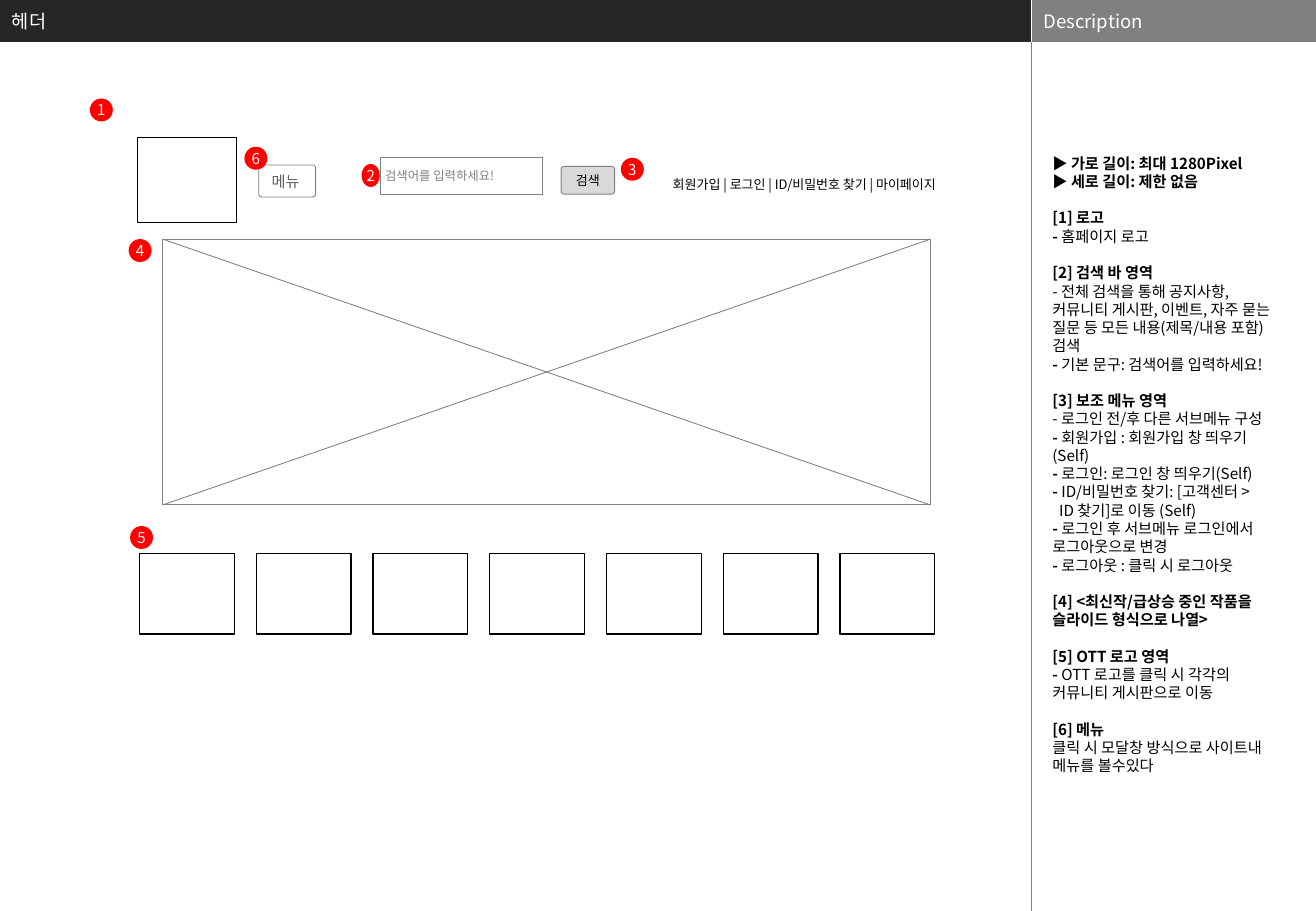
"""Builds the header wireframe slide with its numbered description panel."""
from typing import NamedTuple, Optional

from lxml import etree
from pptx import Presentation
from pptx.dml.color import RGBColor
from pptx.enum.shapes import MSO_CONNECTOR, MSO_SHAPE
from pptx.enum.text import MSO_ANCHOR, PP_ALIGN
from pptx.oxml.ns import qn
from pptx.util import Cm, Pt

RECT, ROUNDED, OVAL = MSO_SHAPE.RECTANGLE, MSO_SHAPE.ROUNDED_RECTANGLE, MSO_SHAPE.OVAL
STRAIGHT = MSO_CONNECTOR.STRAIGHT
LEFT, CENTER, RIGHT = PP_ALIGN.LEFT, PP_ALIGN.CENTER, PP_ALIGN.RIGHT
TOP, MIDDLE = MSO_ANCHOR.TOP, MSO_ANCHOR.MIDDLE

KOREAN = "Noto Sans CJK KR"
COLORS = {
    "white": "FFFFFF", "black": "000000", "title": "262626", "gray": "808080",
    "divider": "7F7F7F", "badge": "FF0000", "button": "D9D9D9", "menu": "5F5F5F",
}
SLIDE_WIDTH, SLIDE_HEIGHT = 27.51, 19.05
PANEL_LEFT, BAR_HEIGHT = 21.56, 0.88
BADGE_SIZE = 0.48
LINE_PITCH = 10.83


class Label(NamedTuple):
    text: str
    size: float
    color: str
    align: PP_ALIGN = LEFT
    inset: tuple[float, float] = (0.25, 0.13)
    font: str = KOREAN
    wrap: bool = True


class Box(NamedTuple):
    left: float
    top: float
    width: float
    height: float
    fill: Optional[str] = None
    line: Optional[str] = None
    weight: float = 0.5
    kind: MSO_SHAPE = RECT
    corner: float = 0.0
    label: Optional[Label] = None


class Badge(NamedTuple):
    number: int
    left: float
    top: float
    width: float = BADGE_SIZE


class Line(NamedTuple):
    x1: float
    y1: float
    x2: float
    y2: float
    color: str
    weight: float


class Note(NamedTuple):
    bold: str = ""
    plain: str = ""
    gap: bool = False
    indent: float = 0.0


BANNER = Box(3.4, 5.0, 16.05, 5.56, "white", "gray")
BANNER_RIGHT, BANNER_BOTTOM = BANNER.left + BANNER.width, BANNER.top + BANNER.height

BARS = [
    Box(0, 0, PANEL_LEFT, BAR_HEIGHT, "title", label=Label("헤더", 11, "white")),
    Box(PANEL_LEFT, 0, SLIDE_WIDTH - PANEL_LEFT, BAR_HEIGHT, "gray",
        label=Label("Description", 11, "white")),
]
CONTROLS = [
    Box(7.95, 3.3, 3.4, 0.76, line="gray",
        label=Label("검색어를 입력하세요!", 7.3, "gray", inset=(0.1, 0.1))),
    Box(11.73, 3.48, 1.12, 0.58, "button", "gray", kind=ROUNDED, corner=0.1,
        label=Label("검색", 7.7, "black", CENTER, (0.1, 0.1))),
    Box(5.41, 3.45, 1.19, 0.67, "white", "gray", kind=ROUNDED, corner=0.09,
        label=Label("메뉴", 9, "menu", font="Lato", wrap=False)),
    BANNER,
]
SITE_LOGO = Box(2.87, 2.87, 2.08, 1.78, "white", "black", 0.75)
OTT_LOGOS = [Box(2.92 + 2.44 * i, 11.58, 1.98, 1.68, "white", "black", 0.75)
             for i in range(7)]
LINES = [
    Line(PANEL_LEFT, 0, PANEL_LEFT, BAR_HEIGHT, "white", 0.25),
    Line(PANEL_LEFT, BAR_HEIGHT, PANEL_LEFT, SLIDE_HEIGHT, "divider", 0.25),
    Line(BANNER.left, BANNER_BOTTOM, BANNER_RIGHT, BANNER.top, "gray", 0.5),
    Line(BANNER_RIGHT, BANNER_BOTTOM, BANNER.left, BANNER.top, "gray", 0.5),
]
BADGES = [
    Badge(1, 1.88, 2.06), Badge(2, 7.56, 3.43, 0.38), Badge(3, 12.98, 3.3),
    Badge(4, 2.69, 5.0), Badge(5, 2.72, 11.0), Badge(6, 5.11, 3.07),
]
SUBMENU = Label("회원가입 | 로그인 | ID/비밀번호 찾기 | 마이페이지", 7.7, "black", RIGHT)
NOTES = [
    Note("▶ 가로 길이: 최대 1280Pixel"),
    Note("▶ 세로 길이: 제한 없음"),
    Note("[1] 로고", gap=True),
    Note("- ", "홈페이지 로고"),
    Note("[2] 검색 바 영역", gap=True),
    Note(plain="- 전체 검색을 통해 공지사항, 커뮤니티 게시판, 이벤트, 자주 묻는 질문 등 "
               "모든 내용(제목/내용 포함) 검색"),
    Note("- ", "기본 문구: 검색어를 입력하세요!"),
    Note("[3] 보조 메뉴 영역", gap=True),
    Note(plain="- 로그인 전/후 다른 서브메뉴 구성"),
    Note("- ", "회원가입 : 회원가입 창 띄우기(Self)"),
    Note("- ", "로그인: 로그인 창 띄우기(Self)"),
    Note("- ", "ID/비밀번호 찾기: [고객센터 >"),
    Note(plain="ID 찾기]로 이동 (Self)", indent=0.14),
    Note("- ", "로그인 후 서브메뉴 로그인에서 로그아웃으로 변경"),
    Note("- ", "로그아웃 : 클릭 시 로그아웃"),
    Note("[4] <최신작/급상승 중인 작품을 슬라이드 형식으로 나열>", gap=True),
    Note("[5] OTT 로고 영역", gap=True),
    Note("- ", "OTT 로고를 클릭 시 각각의 커뮤니티 게시판으로 이동"),
    Note("[6] 메뉴", gap=True),
    Note(plain="클릭 시 모달창 방식으로 사이트내 메뉴를 볼수있다"),
]


def paint(target, color: str) -> None:
    target.rgb = RGBColor.from_string(COLORS[color])


def style_run(run, size: float, color: str, font: str = KOREAN, bold: bool = False) -> None:
    run.font.name, run.font.size, run.font.bold = font, Pt(size), bold
    paint(run.font.color, color)
    etree.SubElement(run.font._element, qn("a:ea")).set("typeface", font)


def write_label(frame, label: Label, anchor: MSO_ANCHOR = MIDDLE) -> None:
    frame.text = label.text
    frame.word_wrap, frame.vertical_anchor = label.wrap, anchor
    frame.margin_left = frame.margin_right = Cm(label.inset[0])
    frame.margin_top = frame.margin_bottom = Cm(label.inset[1])
    frame.paragraphs[0].alignment = label.align
    style_run(frame.paragraphs[0].runs[0], label.size, label.color, label.font)


def draw_box(slide, box: Box) -> None:
    shape = slide.shapes.add_shape(
        box.kind, Cm(box.left), Cm(box.top), Cm(box.width), Cm(box.height))
    shape.shadow.inherit = False
    if box.kind == ROUNDED:
        shape.adjustments[0] = box.corner
    if box.fill:
        shape.fill.solid()
        paint(shape.fill.fore_color, box.fill)
    else:
        shape.fill.background()
    if box.line:
        paint(shape.line.color, box.line)
        shape.line.width = Pt(box.weight)
    else:
        shape.line.fill.background()
    if box.label:
        write_label(shape.text_frame, box.label)


def draw_badge(slide, badge: Badge) -> None:
    number = Label(str(badge.number), 8.9, "white", CENTER, (0, 0), wrap=False)
    draw_box(slide, Box(badge.left, badge.top, badge.width, BADGE_SIZE, "badge",
                        kind=OVAL, label=number))


def draw_line(slide, line: Line) -> None:
    connector = slide.shapes.add_connector(
        STRAIGHT, Cm(line.x1), Cm(line.y1), Cm(line.x2), Cm(line.y2))
    paint(connector.line.color, line.color)
    connector.line.width = Pt(line.weight)
    etree.SubElement(connector._element.spPr, qn("a:effectLst"))


def draw_submenu(slide) -> None:
    frame = slide.shapes.add_textbox(Cm(12.9), Cm(3.48), Cm(6.91), Cm(0.69)).text_frame
    write_label(frame, SUBMENU, TOP)
    frame.paragraphs[0].line_spacing = 1.25


def draw_notes(slide) -> None:
    frame = slide.shapes.add_textbox(Cm(21.92), Cm(3.22), Cm(4.83), Cm(14.36)).text_frame
    frame.word_wrap = True
    frame.margin_left = frame.margin_right = Cm(0.08)
    frame.margin_top = frame.margin_bottom = 0
    for i, note in enumerate(NOTES):
        paragraph = frame.add_paragraph() if i else frame.paragraphs[0]
        paragraph.line_spacing = Pt(LINE_PITCH)
        paragraph.space_before = Pt(LINE_PITCH if note.gap else 0)
        if note.indent:
            paragraph._p.get_or_add_pPr().set("marL", str(Cm(note.indent)))
        for text, bold in ((note.bold, True), (note.plain, False)):
            if text:
                run = paragraph.add_run()
                run.text = text
                style_run(run, 9, "black", bold=bold)


def main() -> None:
    deck = Presentation()
    deck.slide_width, deck.slide_height = Cm(SLIDE_WIDTH), Cm(SLIDE_HEIGHT)
    slide = deck.slides.add_slide(deck.slide_layouts[6])
    for box in [*BARS, *CONTROLS, SITE_LOGO, *OTT_LOGOS]:
        draw_box(slide, box)
    for line in LINES:
        draw_line(slide, line)
    for badge in BADGES:
        draw_badge(slide, badge)
    draw_submenu(slide)
    draw_notes(slide)
    deck.save("out.pptx")


if __name__ == "__main__":
    main()
